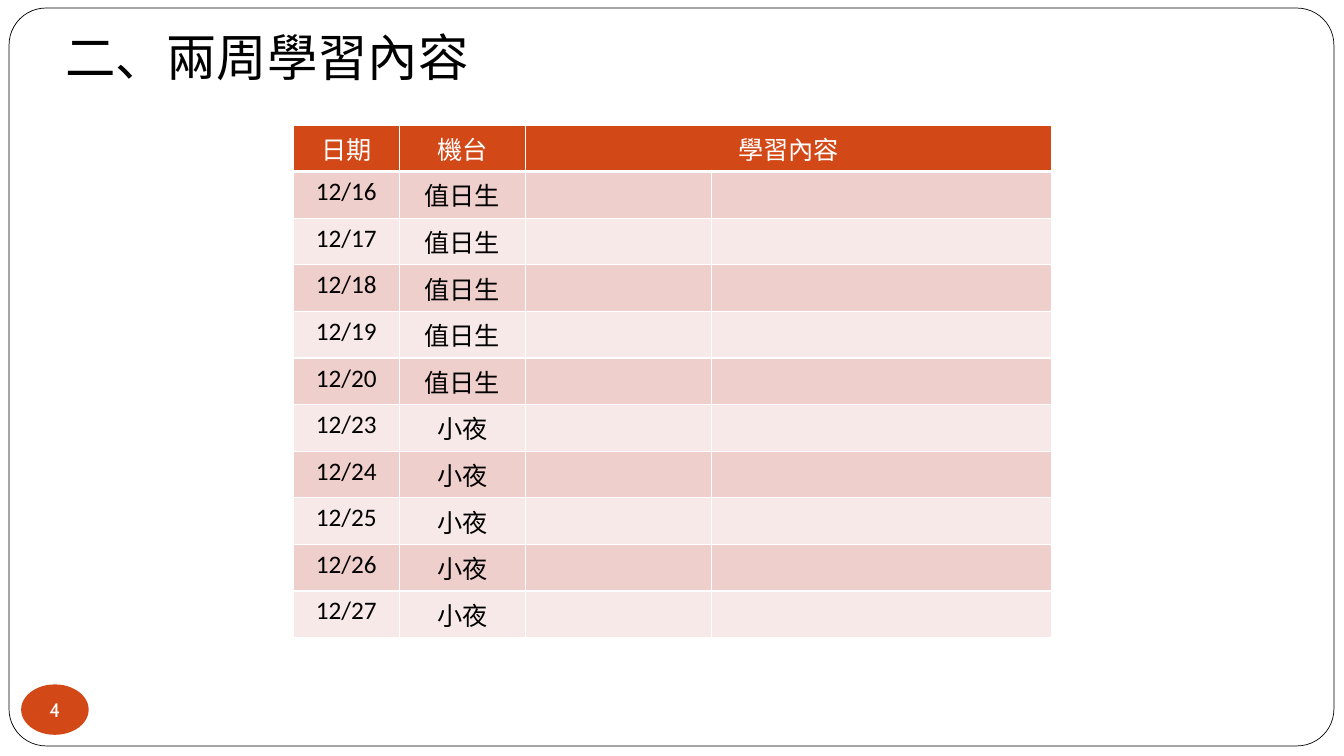
from lxml import etree
from pptx import Presentation
from pptx.dml.color import RGBColor
from pptx.enum.shapes import MSO_SHAPE
from pptx.enum.text import MSO_ANCHOR, MSO_AUTO_SIZE, PP_ALIGN
from pptx.oxml.ns import qn
from pptx.util import Emu, Pt

EMU_PER_PX = 9144
BLACK = RGBColor(0x00, 0x00, 0x00)
WHITE = RGBColor(0xFF, 0xFF, 0xFF)
ORANGE = RGBColor(0xD3, 0x48, 0x17)
BANDS = (RGBColor(0xEF, 0xCF, 0xCC), RGBColor(0xF7, 0xE9, 0xE8))
ROUNDED = MSO_SHAPE.ROUNDED_RECTANGLE
OVAL = MSO_SHAPE.OVAL
CENTER = PP_ALIGN.CENTER
MIDDLE = MSO_ANCHOR.MIDDLE
GROW = MSO_AUTO_SIZE.SHAPE_TO_FIT_TEXT

HEADERS = ("日期", "機台", "學習內容", "")
SHIFTS = (
    ("值日生", ("12/16", "12/17", "12/18", "12/19", "12/20")),
    ("小夜", ("12/23", "12/24", "12/25", "12/26", "12/27")),
)
COLUMN_WIDTHS = (105, 125, 185, 337)
ROW_HEIGHT = 46


def px(n):
    return Emu(n * EMU_PER_PX)


class SlideBuilder:
    """Draws styled elements on one slide, with lengths in px."""

    def __init__(self, slide, font="Calibri"):
        self.slide = slide
        self.font = font

    def text(self, tf, text, size, color, align=None, font=None):
        p = tf.paragraphs[0]
        p.text = text
        p.alignment = align
        p.font.name = font or self.font
        p.font.size = Pt(size)
        p.font.bold = False
        p.font.color.rgb = color

    def shape(self, kind, x, y, w, h, fill, line=None):
        sp = self.slide.shapes.add_shape(kind, px(x), px(y), px(w), px(h))
        sp.shadow.inherit = False
        sp.fill.solid()
        sp.fill.fore_color.rgb = fill
        if line is None:
            sp.line.fill.background()
        else:
            sp.line.color.rgb = line
            sp.line.width = Pt(0.5)
        return sp

    def frame(self, x, y, w, h):
        sp = self.shape(ROUNDED, x, y, w, h, WHITE, BLACK)
        sp.adjustments[0] = 0.05

    def page_number(self, x, y, w, h, text):
        tf = self.shape(OVAL, x, y, w, h, ORANGE).text_frame
        tf.margin_left = tf.margin_right = tf.margin_top = tf.margin_bottom = 0
        tf.vertical_anchor = MIDDLE
        tf.word_wrap = False
        self.text(tf, text, 14, WHITE, CENTER, "Cabin")

    def title(self, x, y, w, h, text):
        tf = self.slide.shapes.add_textbox(px(x), px(y), px(w), px(h)).text_frame
        tf.word_wrap = True
        tf.auto_size = GROW
        self.text(tf, text, 36, BLACK)

    def borders(self, cell, bottom):
        tcPr = cell._tc.get_or_add_tcPr()
        widths = {"a:lnL": 1, "a:lnR": 1, "a:lnT": 1, "a:lnB": bottom}
        for i, (tag, width) in enumerate(widths.items()):
            ln = etree.Element(qn(tag), w=str(Pt(width)))
            fill = etree.SubElement(ln, qn("a:solidFill"))
            etree.SubElement(fill, qn("a:srgbClr"), val=str(WHITE))
            tcPr.insert(i, ln)

    def cell(self, cell, text, fill, color, bottom=1):
        cell.fill.solid()
        cell.fill.fore_color.rgb = fill
        self.borders(cell, bottom)
        self.text(cell.text_frame, text, 18, color, CENTER)

    def table(self, x, y, widths, row_height, headers, rows):
        count = len(rows) + 1
        table = self.slide.shapes.add_table(
            count, len(widths), px(x), px(y), px(sum(widths)), px(row_height * count)
        ).table
        for column, width in zip(table.columns, widths):
            column.width = px(width)
        for row in table.rows:
            row.height = px(row_height)
        for c, text in enumerate(headers):
            self.cell(table.cell(0, c), text, ORANGE, WHITE, bottom=3)
        for r, row in enumerate(rows):
            for c, text in enumerate(row):
                self.cell(table.cell(r + 1, c), text, BANDS[r % 2], BLACK)
        return table


def main():
    prs = Presentation()
    prs.slide_width, prs.slide_height = px(1333), px(750)
    s = SlideBuilder(prs.slides.add_slide(prs.slide_layouts[6]))
    s.frame(9, 8, 1314, 732)
    s.page_number(21, 679, 67, 50, "4")
    rows = [(date, shift, "", "") for shift, dates in SHIFTS for date in dates]
    table = s.table(291, 124, COLUMN_WIDTHS, ROW_HEIGHT, HEADERS, rows)
    table.cell(0, 2).merge(table.cell(0, 3))
    s.title(55, 21, 435, 71, "二、兩周學習內容")
    prs.save("out.pptx")


if __name__ == "__main__":
    main()
